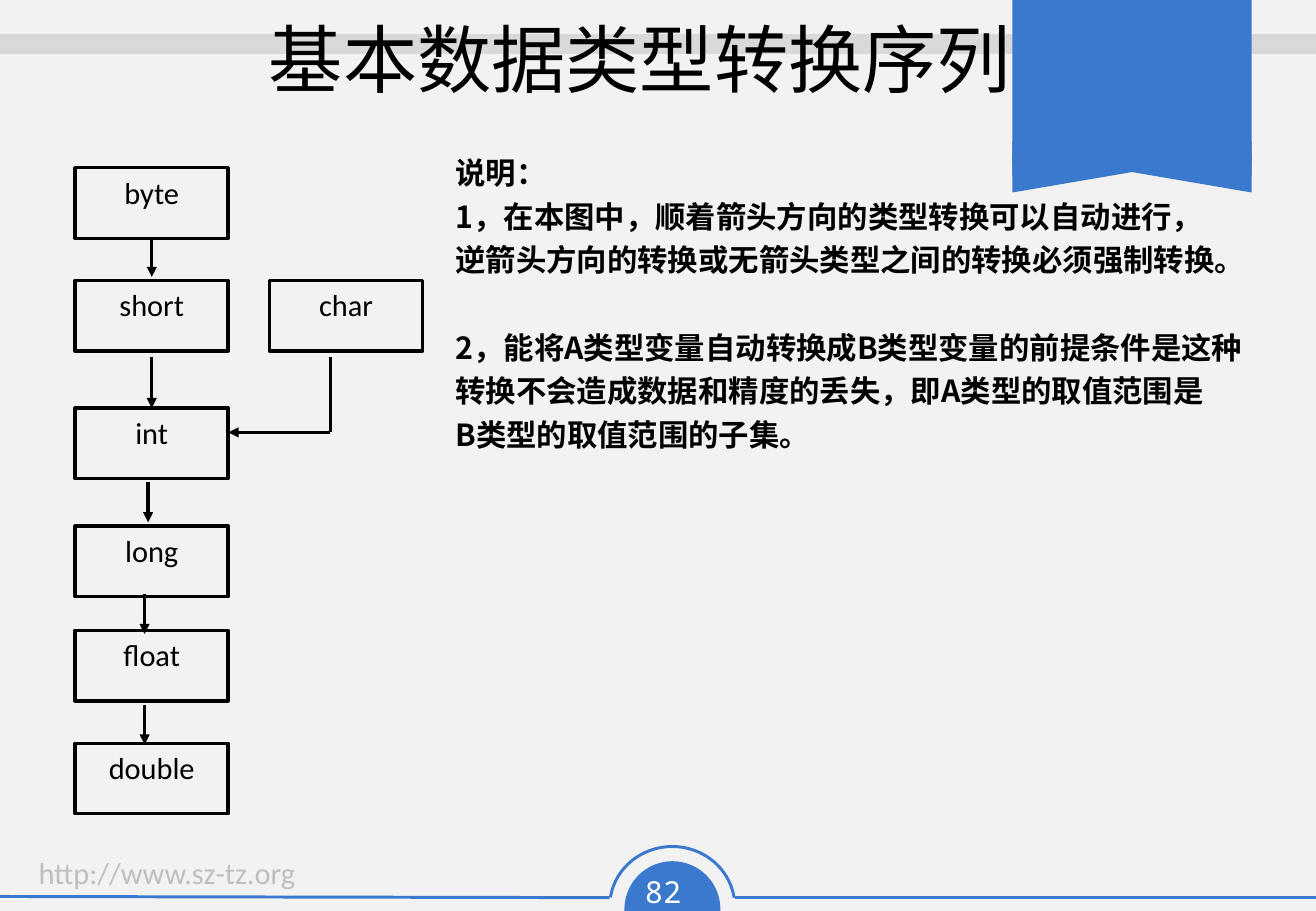
from typing import NamedTuple, Optional

from lxml import etree
from pptx import Presentation
from pptx import util as u
from pptx.dml import color
from pptx.enum import shapes, text
from pptx.oxml import ns

COLORS = {
    "paper": "F2F2F2",
    "blue": "3B79CE",
    "band": "D9D9D9",
    "link": "BFBFBF",
    "ink": "000000",
    "white": "FFFFFF",
}
CJK_FONT = "Noto Sans CJK SC"
BOX_WIDTH, BOX_HEIGHT = 90.7, 41.8
MAIN_COLUMN, CHAR_COLUMN = 44.6, 159.8
RIBBON_CENTER, RIBBON_WIDTH = 671, 141.8


class TypeBox(NamedTuple):
    name: str
    left: float
    top: float


class Link(NamedTuple):
    start: tuple[float, float]
    end: tuple[float, float]
    color: str = "ink"
    width: float = 2
    arrow: bool = True
    source: Optional[str] = None
    target: Optional[str] = None


class Ornament(NamedTuple):
    preset: shapes.MSO_SHAPE
    left: float
    top: float
    width: float
    height: float
    adjustments: tuple[float, ...] = ()
    rotation: float = 270
    outlined: bool = False


class RibbonPiece(NamedTuple):
    preset: shapes.MSO_SHAPE
    middle: float
    length: float
    adjustments: tuple[float, ...]


TYPE_BOXES = [
    TypeBox("char", CHAR_COLUMN, 166.3),
    TypeBox("byte", MAIN_COLUMN, 99.4),
    TypeBox("short", MAIN_COLUMN, 166.3),
    TypeBox("int", MAIN_COLUMN, 241.9),
    TypeBox("long", MAIN_COLUMN, 311.8),
    TypeBox("float", MAIN_COLUMN, 373.7),
    TypeBox("double", MAIN_COLUMN, 440.6),
]
CONVERSIONS = [
    Link((89.95, 141.2), (89.95, 164.2), source="byte"),
    Link((89.95, 211.7), (89.95, 241.9), target="int"),
    Link((87.8, 285.8), (87.8, 309.6)),
    Link((85.7, 352.1), (85.7, 375.8)),
    Link((85.7, 417.6), (85.7, 441.4)),
    Link((195.8, 211.7), (195.8, 256.3), arrow=False),
    Link((195.8, 256.3), (135.4, 256.3)),
]
RULES = [
    Link((435.6, 532.1), (780, 532.1), "blue", 1.77, False),
    Link((0, 531.4), (361.4, 532.1), "blue", 1.77, False),
    Link((0, 25.9), (780, 25.9), "band", 12, False),
]
RIBBON = [
    RibbonPiece(shapes.MSO_SHAPE.CHEVRON, 96.8, 34.6, (0.35,)),
    RibbonPiece(shapes.MSO_SHAPE.CHEVRON, 83.9, 40.3, ()),
    RibbonPiece(shapes.MSO_SHAPE.PENTAGON, 47.9, 97.9, (0,)),
]
BADGE = [
    Ornament(shapes.MSO_SHAPE.ARC, 361.4, 501.8, 74.2, 71.3, (113.17, 211.1), 0, True),
    Ornament(shapes.MSO_SHAPE.CHORD, 370.1, 510.5, 56.9, 56.9, (35.77, 153.29), 112.4),
]
EXPLANATION = [
    "说明：",
    "1，在本图中，顺着箭头方向的类型转换可以自动进行，",
    "逆箭头方向的转换或无箭头类型之间的转换必须强制转换。",
    "2，能将A类型变量自动转换成B类型变量的前提条件是这种",
    "转换不会造成数据和精度的丢失，即A类型的取值范围是",
    "B类型的取值范围的子集。",
]


def rgb(name: str) -> color.RGBColor:
    return color.RGBColor.from_string(COLORS[name])


def write(frame, lines, *, font="Calibri", size=18, ink="ink", bold=False,
          align=text.PP_ALIGN.LEFT, wrap=False, top_margin=3.6,
          line_spacing=None, gaps=None):
    frame.word_wrap = wrap
    frame.auto_size = text.MSO_AUTO_SIZE.NONE
    frame.vertical_anchor = text.MSO_ANCHOR.TOP
    frame.margin_top = u.Pt(top_margin)
    for index, line in enumerate(lines):
        paragraph = frame.add_paragraph() if index else frame.paragraphs[0]
        paragraph.alignment = align
        if line_spacing:
            paragraph.line_spacing = u.Pt(line_spacing)
        if gaps and index in gaps:
            paragraph.space_before = u.Pt(gaps[index])
        run = paragraph.add_run()
        run.text = line
        run.font.name = font
        run.font.size = u.Pt(size)
        run.font.bold = bold
        run.font.color.rgb = rgb(ink)
        etree.SubElement(run.font._rPr, ns.qn("a:ea"), typeface=CJK_FONT)


def add_text(slide, lines: list[str], left: float, top: float,
             width: float, height: float, **style) -> None:
    area = slide.shapes.add_textbox(*map(u.Pt, (left, top, width, height)))
    write(area.text_frame, lines, **style)


def add_ornament(slide, item: Ornament) -> None:
    piece = slide.shapes.add_shape(
        item.preset, *map(u.Pt, (item.left, item.top, item.width, item.height)))
    piece.shadow.inherit = False
    piece.rotation = item.rotation
    for index, value in enumerate(item.adjustments):
        piece.adjustments[index] = value
    if item.outlined:
        piece.fill.background()
        piece.line.color.rgb = rgb("blue")
        piece.line.width = u.Pt(1.77)
    else:
        piece.fill.solid()
        piece.fill.fore_color.rgb = rgb("blue")
        piece.line.fill.background()


def add_type_box(slide, item: TypeBox):
    box = slide.shapes.add_shape(
        shapes.MSO_SHAPE.RECTANGLE,
        *map(u.Pt, (item.left, item.top, BOX_WIDTH, BOX_HEIGHT)))
    box.shadow.inherit = False
    box.fill.background()
    box.line.color.rgb = rgb("ink")
    box.line.width = u.Pt(2)
    write(box.text_frame, [item.name], align=text.PP_ALIGN.CENTER)
    return box


def add_link(slide, link: Link, boxes: dict) -> None:
    connector = slide.shapes.add_connector(
        shapes.MSO_CONNECTOR.STRAIGHT, *map(u.Pt, link.start + link.end))
    connector.line.color.rgb = rgb(link.color)
    connector.line.width = u.Pt(link.width)
    if link.arrow:
        outline = connector.line._get_or_add_ln()
        etree.SubElement(outline, ns.qn("a:tailEnd"), type="triangle")
    etree.SubElement(connector._element.spPr, ns.qn("a:effectLst"))
    if link.source:
        connector.begin_connect(boxes[link.source], 2)
    if link.target:
        connector.end_connect(boxes[link.target], 0)


def main() -> None:
    deck = Presentation()
    deck.slide_width, deck.slide_height = u.Pt(780), u.Pt(540)
    slide = deck.slides.add_slide(deck.slide_layouts[5])
    slide.background.fill.solid()
    slide.background.fill.fore_color.rgb = rgb("paper")

    for rule in RULES:
        add_link(slide, rule, {})
    ribbon = [
        Ornament(piece.preset, RIBBON_CENTER - piece.length / 2,
                 piece.middle - RIBBON_WIDTH / 2, piece.length, RIBBON_WIDTH,
                 piece.adjustments)
        for piece in RIBBON
    ]
    for item in ribbon + BADGE:
        add_ornament(slide, item)
    add_text(slide, ["82 "], 367.2, 514.1, 62.6, 28.8, font="Noto Sans Mono",
             ink="white", align=text.PP_ALIGN.CENTER, wrap=True)
    add_text(slide, ["http://www.sz-tz.org"], 15.8, 502.6, 168.5, 28.8, ink="link")

    title = slide.shapes.title
    title.left, title.top, title.width, title.height = map(u.Pt, (41.8, 8, 675.4, 47.5))
    write(title.text_frame, ["基本数据类型转换序列"], size=44,
          align=text.PP_ALIGN.CENTER, wrap=True, top_margin=0)
    title.element.getparent().append(title.element)

    boxes = {item.name: add_type_box(slide, item) for item in TYPE_BOXES}
    for conversion in CONVERSIONS:
        add_link(slide, conversion, boxes)
    add_text(slide, EXPLANATION, 262.8, 81.4, 490.3, 190.8, font=CJK_FONT, bold=True,
             wrap=True, top_margin=5.6, line_spacing=25.9, gaps={3: 25.9})
    deck.save("out.pptx")


if __name__ == "__main__":
    main()
